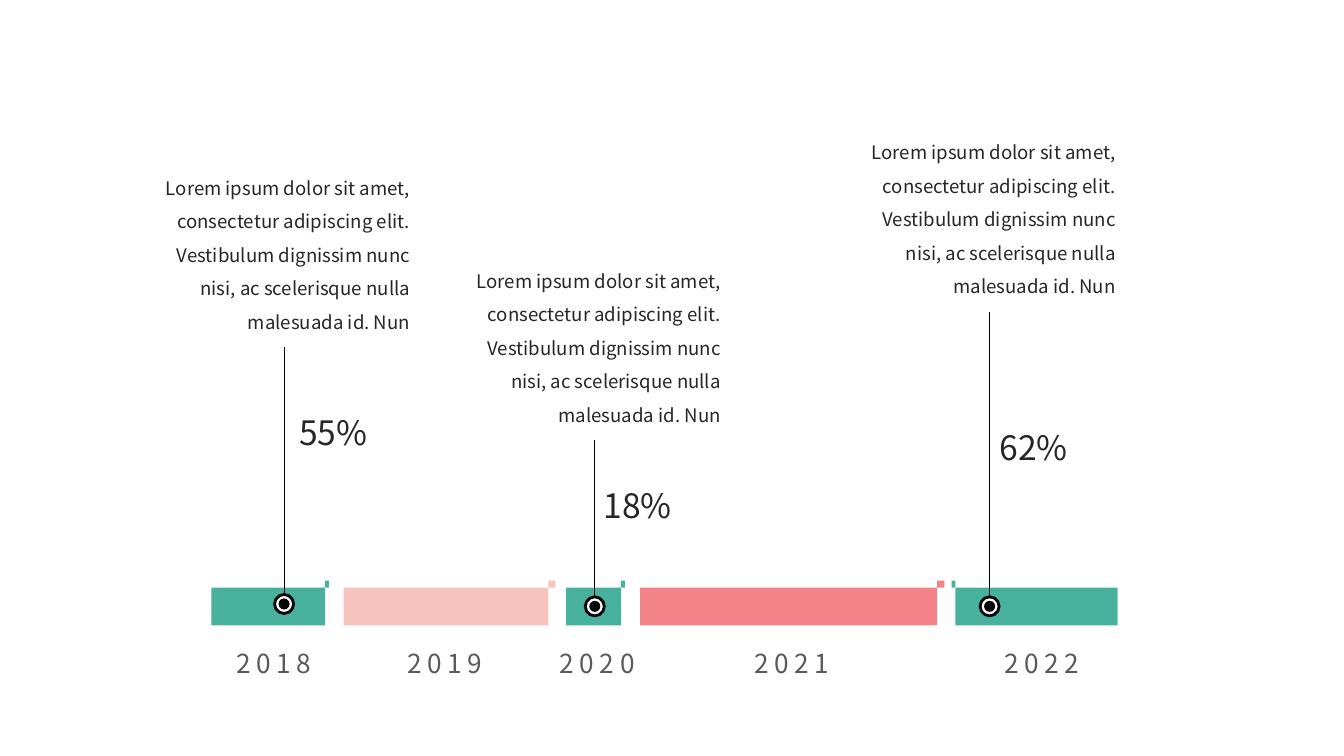
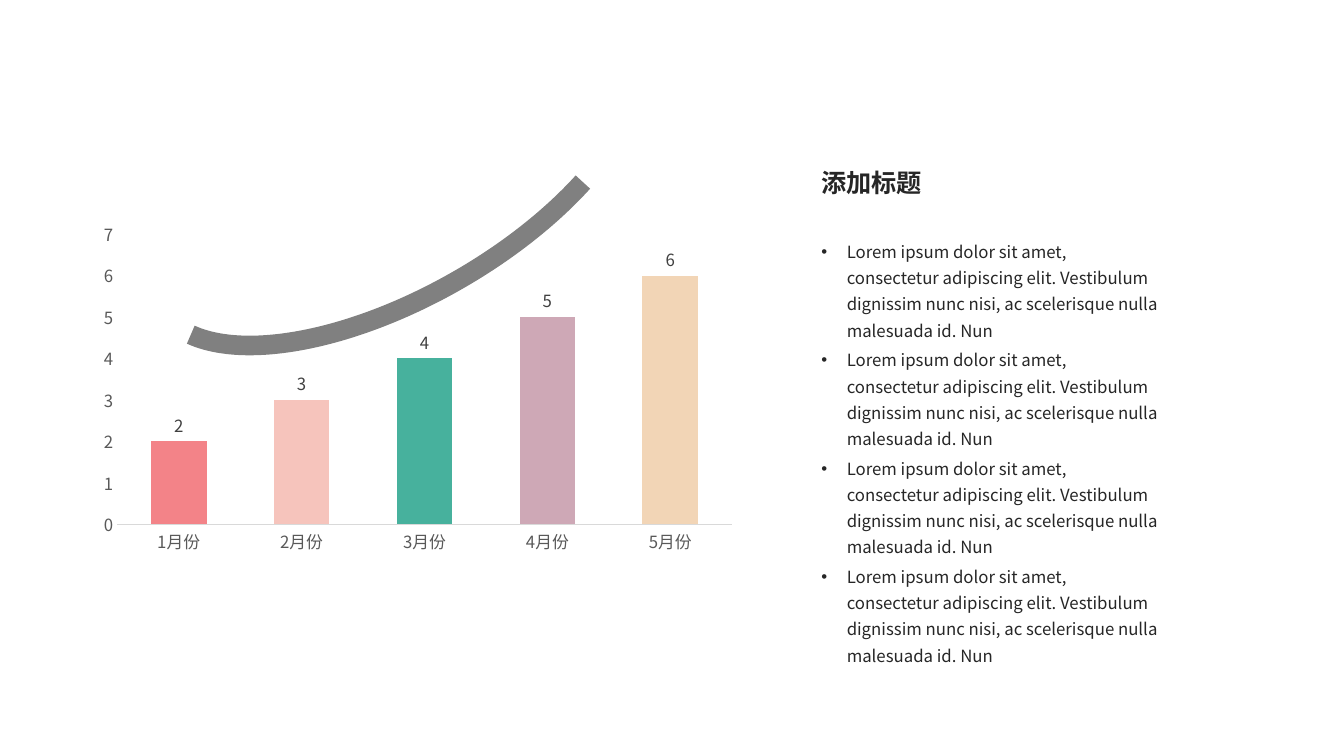
from lxml.etree import SubElement
from pptx import Presentation
from pptx.chart.data import CategoryChartData
from pptx.dml.color import RGBColor
from pptx.enum.chart import XL_CHART_TYPE, XL_LABEL_POSITION, XL_TICK_MARK
from pptx.enum.shapes import MSO_CONNECTOR, MSO_SHAPE
from pptx.enum.text import MSO_AUTO_SIZE, PP_ALIGN
from pptx.oxml.ns import qn
from pptx.util import Cm, Pt

FONT = "Noto Sans CJK SC"
INK, GREY, LABEL, AXIS, CURVE = "262626", "595959", "404040", "D9D9D9", "808080"
BLACK, DOT, WHITE = "000000", "070606", "FFFFFF"
GREEN, PINK, CORAL, MAUVE, SAND = "47B19D", "F6C4BC", "F38388", "CEA8B6", "F2D5B6"
LOREM = ("Lorem ipsum dolor sit amet, consectetur adipiscing elit. Vestibulum "
         "dignissim nunc nisi, ac scelerisque nulla malesuada id. Nun")


def colour(value):
    return RGBColor.from_string(value)


def style_font(font, size, value, bold=False):
    font.name = FONT
    font.size = Pt(size)
    font.bold = bold
    font.color.rgb = colour(value)


def add_text(page, left, top, width, height, text, size, value=INK, align=PP_ALIGN.LEFT,
             bold=False, spacing=None, tracking=0, bullet=False, wrap=True, margins=(0.25, 0.13)):
    box = page.shapes.add_textbox(Cm(left), Cm(top), Cm(width), Cm(height))
    frame = box.text_frame
    frame.word_wrap = wrap
    frame.auto_size = MSO_AUTO_SIZE.SHAPE_TO_FIT_TEXT
    frame.margin_left = frame.margin_right = Cm(margins[0])
    frame.margin_top = frame.margin_bottom = Cm(margins[1])
    para = frame.paragraphs[0]
    if bullet:
        properties = para._p.get_or_add_pPr()
        properties.set("marL", str(Cm(0.64)))
        properties.set("indent", str(-Cm(0.64)))
        SubElement(properties, qn("a:buFont")).set("typeface", "Arial")
        SubElement(properties, qn("a:buChar")).set("char", "•")
    para.alignment = align
    if spacing:
        para.line_spacing = spacing
    span = para.add_run()
    span.text = text
    style_font(span.font, size, value, bold)
    run_properties = span._r.get_or_add_rPr()
    SubElement(run_properties, qn("a:ea")).set("typeface", FONT)
    if tracking:
        run_properties.set("spc", str(tracking * 100))


def add_shape(page, kind, left, top, width, height, fill, line=None, weight=1):
    shape = page.shapes.add_shape(kind, Cm(left), Cm(top), Cm(width), Cm(height))
    shape.shadow.inherit = False
    if fill:
        shape.fill.solid()
        shape.fill.fore_color.rgb = colour(fill)
    else:
        shape.fill.background()
    if line:
        shape.line.color.rgb = colour(line)
        shape.line.width = Pt(weight)
    else:
        shape.line.fill.background()
    return shape


def add_circle(page, centre, middle, size, fill, line=None, weight=1):
    add_shape(page, MSO_SHAPE.OVAL, centre - size / 2, middle - size / 2, size, size,
              fill, line, weight)


def add_stem(page, centre, top, bottom):
    stem = page.shapes.add_connector(MSO_CONNECTOR.STRAIGHT, Cm(centre), Cm(bottom),
                                     Cm(centre), Cm(top))
    stem.line.color.rgb = colour(BLACK)
    stem.line.width = Pt(0.75)
    SubElement(stem._element.spPr, qn("a:effectLst"))


def add_year(page, left, top, width, year, fill, tab_offset, tab_width, label_centre):
    add_shape(page, MSO_SHAPE.RECTANGLE, left, top, width, 0.95, fill)
    add_shape(page, MSO_SHAPE.RECTANGLE, left + tab_offset, top - 0.18, tab_width, 0.18, fill)
    add_text(page, left + label_centre - 1.92, top + 1.37, 3.84, 1.07, year, 18.7, GREY,
             PP_ALIGN.CENTER, tracking=4)


def add_event(page, left, top, middle, percent, percent_left, percent_top):
    centre = left + 3.38
    add_text(page, left, top, 6.81, 4.45, LOREM, 13.3, align=PP_ALIGN.RIGHT, spacing=1.5)
    add_stem(page, centre, top + 4.7, 15.37)
    add_circle(page, centre, middle, 0.48, WHITE, DOT, 2)
    add_circle(page, centre, middle, 0.28, DOT)
    add_text(page, left + percent_left, top + percent_top, 2.29, 1.27, percent, 24, wrap=False)


def build_timeline(page):
    years = [
        (5.33, 2.86, "2018", GREEN, 2.86, 0.1, 1.57),
        (8.66, 5.16, "2019", PINK, 5.16, 0.18, 2.55),
        (14.27, 1.38, "2020", GREEN, 1.38, 0.1, 0.78),
        (16.13, 7.49, "2021", CORAL, 7.49, 0.18, 3.82),
        (24.08, 4.09, "2022", GREEN, -0.1, 0.1, 2.17),
    ]
    for left, width, *details in years:
        add_year(page, left, 14.81, width, *details)
    add_event(page, 3.78, 4.04, 15.22, "55%", 3.51, 6.2)
    add_event(page, 11.61, 6.38, 15.28, "18%", 3.35, 5.71)
    add_event(page, 21.56, 3.15, 15.28, "62%", 3.38, 7.49)


def add_month_chart(page, left, top, width, height):
    data = CategoryChartData()
    data.categories = [f"{month}月份" for month in range(1, 6)]
    data.add_series("Series 1", (2, 3, 4, 5, 6))
    chart = page.shapes.add_chart(XL_CHART_TYPE.COLUMN_CLUSTERED, Cm(left), Cm(top),
                                  Cm(width), Cm(height), data).chart
    chart.has_legend = False
    chart.has_title = False
    style_font(chart.font, 10, BLACK)
    for axis in (chart.category_axis, chart.value_axis):
        axis.has_major_gridlines = False
        axis.major_tick_mark = axis.minor_tick_mark = XL_TICK_MARK.NONE
        style_font(axis.tick_labels.font, 12, GREY)
    chart.category_axis.format.line.color.rgb = colour(AXIS)
    chart.category_axis.format.line.width = Pt(0.75)
    chart.value_axis.format.line.fill.background()
    chart.value_axis.minimum_scale = 0
    chart.value_axis.maximum_scale = 7
    chart.value_axis.major_unit = 1
    plot = chart.plots[0]
    plot.gap_width = 121
    plot.overlap = -27
    plot.vary_by_categories = False
    series = plot.series[0]
    series.format.fill.solid()
    series.format.fill.fore_color.rgb = colour(SAND)
    for index, value in enumerate((CORAL, PINK, GREEN, MAUVE, SAND)):
        fill = series.points[index].format.fill
        fill.solid()
        fill.fore_color.rgb = colour(value)
    labels = series.data_labels
    labels.show_value = True
    labels.position = XL_LABEL_POSITION.OUTSIDE_END
    style_font(labels.font, 12, LABEL)


def add_growth_curve(page, left, top, width, height):
    curve = add_shape(page, MSO_SHAPE.ARC, left, top, width, height, None, CURVE, 14)
    curve.rotation = 60.3
    for index, degrees in enumerate((302.3, 81.52)):
        curve.adjustments[index] = degrees * 0.6


def add_bullet_column(page, left, top, width):
    margins = (0.3, 0.15)
    add_text(page, left, top, 4.6, 1.07, "添加标题", 18, bold=True, margins=margins)
    for row in range(4):
        add_text(page, left, top + 1.73 + row * 2.73, width, 2.92, LOREM, 12,
                 spacing=1.3, bullet=True, margins=margins)


def build_growth(page):
    add_month_chart(page, 2.29, 5.41, 16.48, 8.71)
    add_growth_curve(page, 6.86, -2.46, 6.22, 13.67)
    add_bullet_column(page, 20.4, 4.06, 9.19)


def main():
    deck = Presentation()
    deck.slide_width = Cm(33.87)
    deck.slide_height = Cm(19.05)
    for build in (build_timeline, build_growth):
        build(deck.slides.add_slide(deck.slide_layouts[6]))
    deck.save("out.pptx")


if __name__ == "__main__":
    main()
